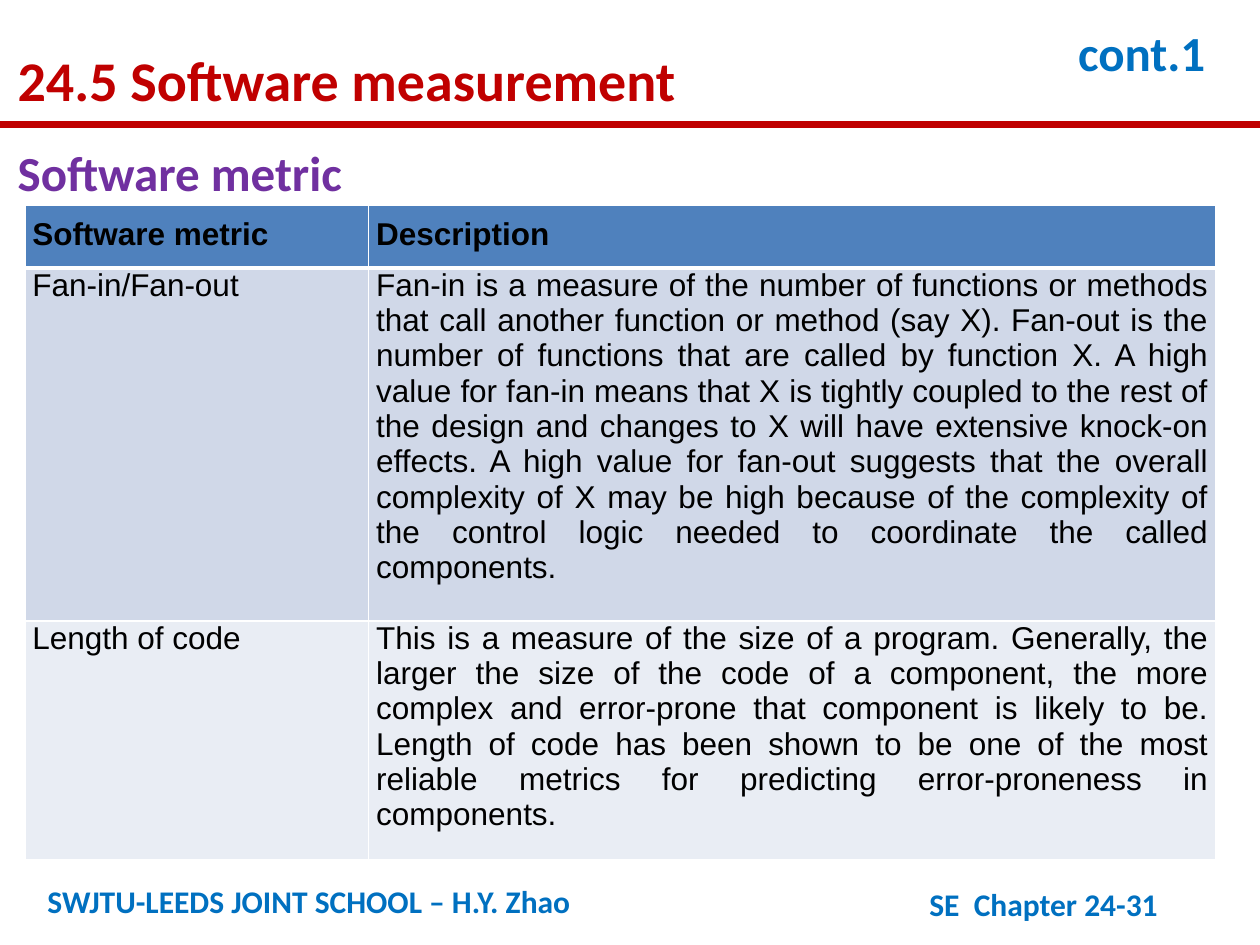
import pptx
import pptx.dml.color
import pptx.enum.shapes
import pptx.enum.text
import pptx.oxml
import pptx.oxml.ns
import pptx.util
import lxml.etree

Pt = pptx.util.Pt
ALIGN = pptx.enum.text.PP_ALIGN
RED, BLUE, PURPLE, BLACK, WHITE = "C00000", "0070C0", "7030A0", "000000", "FFFFFF"
ROW_FILLS = ("4F81BD", "D0D8E8", "E9EDF4")
COLUMN_WIDTHS = (196.5, 484)
ROW_HEIGHTS = (35.4, 201.7, 136.8)
METRICS = (
    ("Software metric", "Description"),
    ("Fan-in/Fan-out",
     "Fan-in is a measure of the number of functions or methods that call another "
     "function or method (say X). Fan-out is the number of functions that are called "
     "by function X. A high value for fan-in means that X is tightly coupled to the "
     "rest of the design and changes to X will have extensive knock-on effects. A high "
     "value for fan-out suggests that the overall complexity of X may be high because "
     "of the complexity of the control logic needed to coordinate the called components."),
    ("Length of code",
     "This is a measure of the size of a program. Generally, the larger the size of the "
     "code of a component, the more complex and error-prone that component is likely to "
     "be. Length of code has been shown to be one of the most reliable metrics for "
     "predicting error-proneness in components."),
)


def rgb(color):
    """Turn a hex string into a colour."""
    return pptx.dml.color.RGBColor.from_string(color)


def write_text(frame, text, size=18, font="Calibri", color=BLUE, bold=True,
               align=ALIGN.LEFT, spacing=None):
    """Write one formatted paragraph into a text frame."""
    paragraph = frame.paragraphs[0]
    paragraph.alignment = align
    paragraph.line_spacing = spacing
    run = paragraph.add_run()
    run.text = text
    run.font.size = Pt(size)
    run.font.name = font
    run.font.bold = bold
    run.font.color.rgb = rgb(color)


def add_label(slide, text, left, top, width, height, wrap=True, **text_format):
    """Add a text box with a single line of text."""
    label = slide.shapes.add_textbox(Pt(left), Pt(top), Pt(width), Pt(height))
    label.text_frame.word_wrap = wrap
    write_text(label.text_frame, text, **text_format)


def add_rule(slide, left, right, height, color, weight):
    """Draw a horizontal line without a shadow."""
    rule = slide.shapes.add_connector(
        pptx.enum.shapes.MSO_CONNECTOR.STRAIGHT, Pt(left), Pt(height), Pt(right), Pt(height))
    rule.line.color.rgb = rgb(color)
    rule.line.width = Pt(weight)
    lxml.etree.SubElement(rule._element.spPr, pptx.oxml.ns.qn("a:effectLst"))


def set_borders(cell, **weights):
    """Give a cell white borders, each with its weight in points."""
    properties = cell._tc.get_or_add_tcPr()
    for position, (side, weight) in enumerate(weights.items()):
        border = pptx.oxml.parse_xml(
            f'<a:{side} {pptx.oxml.ns.nsdecls("a")} w="{Pt(weight)}">'
            f'<a:solidFill><a:srgbClr val="{WHITE}"/></a:solidFill></a:{side}>')
        properties.insert(position, border)


def add_metrics_table(slide, left, top):
    """Add the table of metrics and their descriptions."""
    table = slide.shapes.add_table(
        len(METRICS), len(COLUMN_WIDTHS), Pt(left), Pt(top),
        Pt(sum(COLUMN_WIDTHS)), Pt(sum(ROW_HEIGHTS))).table
    for column, width in zip(table.columns, COLUMN_WIDTHS):
        column.width = Pt(width)
    for index, (row, height, fill) in enumerate(zip(table.rows, ROW_HEIGHTS, ROW_FILLS)):
        row.height = Pt(height)
        heading = index == 0
        for column, (cell, text) in enumerate(zip(row.cells, METRICS[index])):
            cell.margin_left = cell.margin_right = Pt(4.3)
            cell.margin_top = Pt(7.2 if heading else 0)
            cell.margin_bottom = Pt(7.2)
            cell.fill.solid()
            cell.fill.fore_color.rgb = rgb(fill)
            set_borders(cell, lnL=1, lnR=1, lnT=3 if index == 1 else 1, lnB=3 if heading else 1)
            justified = heading or column == 1
            write_text(cell.text_frame, text, font="Arial", color=BLACK, bold=heading,
                       align=ALIGN.JUSTIFY if justified else ALIGN.LEFT)


def main():
    """Build the slide on software metrics."""
    deck = pptx.Presentation()
    deck.slide_width, deck.slide_height = Pt(720), Pt(540)
    slide = deck.slides.add_slide(deck.slide_layouts[6])
    add_rule(slide, 0, 720, 71.3, RED, 4)
    add_label(slide, "SWJTU-LEEDS JOINT SCHOOL – H.Y. Zhao", 20, 500.4, 454, 29)
    add_label(slide, "SE  Chapter 24-31", 524, 502, 188, 29)
    add_label(slide, "24.5 Software measurement", 3, 15, 533, 50,
              size=32, color=RED, spacing=1.2)
    add_label(slide, "cont.1", 609, 15, 108, 36, size=28, spacing=Pt(28))
    add_label(slide, "Software metric", 3, 78, 203, 41, wrap=False, size=28, color=PURPLE)
    add_metrics_table(slide, 14.2, 117)
    deck.save("out.pptx")


if __name__ == "__main__":
    main()
